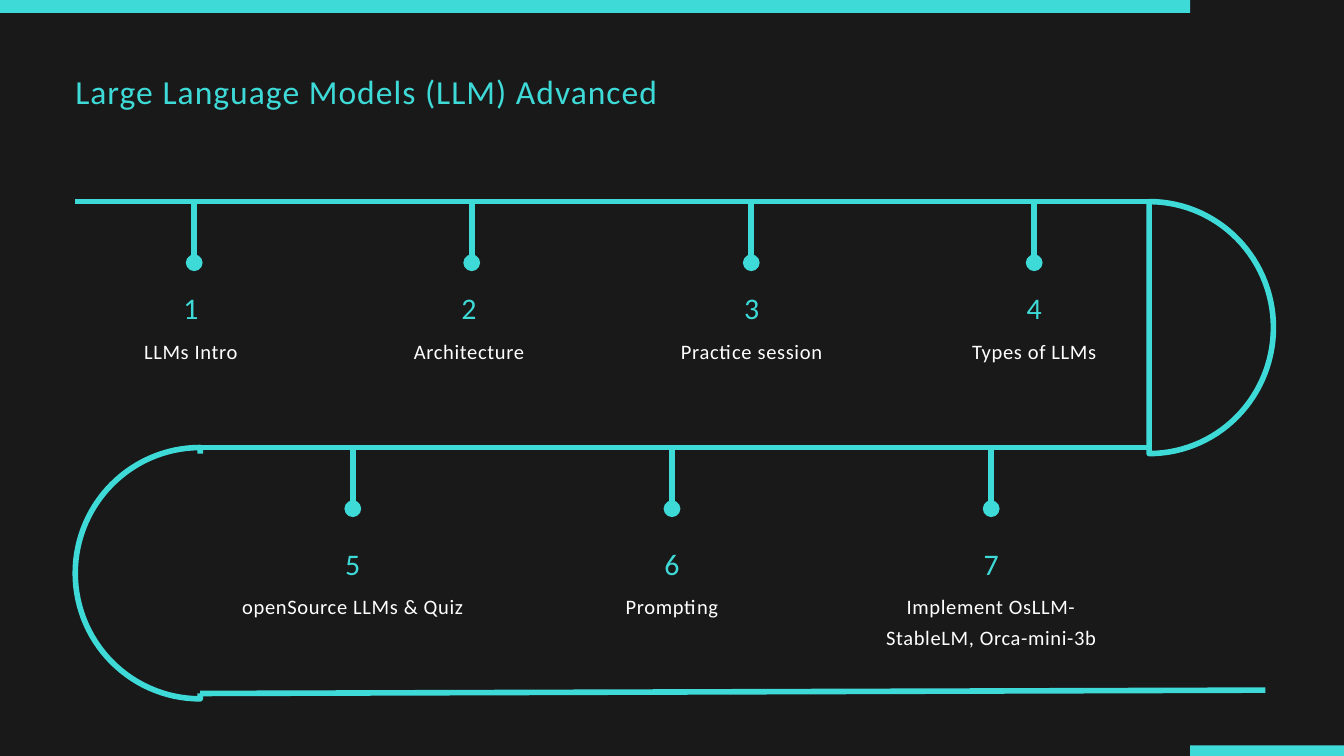
"""Build a winding seven-step course roadmap slide."""
import math
from dataclasses import dataclass

import lxml.etree
import pptx
import pptx.dml.color
import pptx.enum.shapes
import pptx.enum.text
import pptx.oxml.ns
import pptx.util

PX = 9144
ALIGN = pptx.enum.text.PP_ALIGN


@dataclass(frozen=True)
class TextStyle:
    """Size, line height and letter spacing in points, with colour."""
    size: int
    leading: float
    spacing: float
    color: str


@dataclass(frozen=True)
class Theme:
    """Colours, font and type styles of the slide."""
    dark: str = "191919"
    accent: str = "3EDAD8"
    font: str = "Calibri"
    stroke: int = 6
    title: TextStyle = TextStyle(36, 46.8, 1.1, "3EDAD8")
    number: TextStyle = TextStyle(32, 41.6, 1.6, "3EDAD8")
    label: TextStyle = TextStyle(22, 33, 0.7, "FFFFFF")


class SlideBuilder:
    """Draws styled elements on the current slide."""

    def __init__(self, prs, theme):
        """Add a title-only slide with the theme background."""
        self.theme = theme
        self.slide = prs.slides.add_slide(prs.slide_layouts[5])
        self.shapes = self.slide.shapes
        self.paint(self.slide.background.fill, theme.dark)

    def paint(self, fill, color):
        """Set a solid fill."""
        fill.solid()
        fill.fore_color.rgb = pptx.dml.color.RGBColor.from_string(color)

    def stroke(self, line):
        """Apply the road stroke."""
        self.paint(line.fill, self.theme.accent)
        line.width = pptx.util.Pt(self.theme.stroke)

    def set_text(self, sp, text, style, align):
        """Fill a text shape with one styled run."""
        tf = sp.text_frame
        tf.word_wrap = True
        tf.auto_size = pptx.enum.text.MSO_AUTO_SIZE.NONE
        tf.vertical_anchor = pptx.enum.text.MSO_ANCHOR.TOP
        tf.margin_left = tf.margin_right = tf.margin_top = tf.margin_bottom = 0
        p = tf.paragraphs[0]
        p.alignment = align
        p.line_spacing = pptx.util.Pt(style.leading)
        p.space_before = pptx.util.Pt(0)
        r = p.add_run()
        r.text = text
        r.font.name = self.theme.font
        r.font.size = pptx.util.Pt(style.size)
        r.font.color.rgb = pptx.dml.color.RGBColor.from_string(style.color)
        r._r.get_or_add_rPr().set("spc", str(round(style.spacing * 100)))

    def title(self, text, x, y, w, h):
        """Place the title placeholder."""
        sp = self.shapes.title
        sp.left, sp.top, sp.width, sp.height = (v * PX for v in (x, y, w, h))
        self.set_text(sp, text, self.theme.title, ALIGN.LEFT)

    def text(self, text, x, y, w, h, style):
        """Add a centred text box."""
        sp = self.shapes.add_textbox(*(v * PX for v in (x, y, w, h)))
        self.set_text(sp, text, style, ALIGN.CENTER)

    def bar(self, x, y, w, h, color):
        """Add a plain filled rectangle."""
        sp = self.shapes.add_shape(
            pptx.enum.shapes.MSO_SHAPE.RECTANGLE, *(v * PX for v in (x, y, w, h)))
        sp.shadow.inherit = False
        self.paint(sp.fill, color)
        sp.line.fill.background()

    def line(self, x1, y1, x2, y2, dot=False):
        """Add a road line, with an optional round end."""
        sp = self.shapes.add_connector(
            pptx.enum.shapes.MSO_CONNECTOR.STRAIGHT, *(v * PX for v in (x1, y1, x2, y2)))
        self.stroke(sp.line)
        spPr = sp._element.spPr
        if dot:
            ln = spPr.find(pptx.oxml.ns.qn("a:ln"))
            lxml.etree.SubElement(ln, pptx.oxml.ns.qn("a:tailEnd"), type="oval")
        lxml.etree.SubElement(spPr, pptx.oxml.ns.qn("a:effectLst"))

    def bend(self, x, top, bottom, reach):
        """Add a half-ellipse outline bulging sideways by reach."""
        mid, ry, steps = (top + bottom) / 2, (bottom - top) / 2, 60
        pts = [(round((x + reach * math.sin(math.pi * i / steps)) * PX),
                round((mid - ry * math.cos(math.pi * i / steps)) * PX))
               for i in range(steps + 1)]
        builder = self.shapes.build_freeform(*pts[0])
        builder.add_line_segments(pts[1:], close=True)
        sp = builder.convert_to_shape()
        sp.shadow.inherit = False
        sp.fill.background()
        self.stroke(sp.line)

    def step(self, number, label, stem, center, road, gap, w, h):
        """Add a stem with its number and label under the road."""
        self.line(stem, road, stem, road + 91, dot=True)
        left, top = center - w // 2, road + gap
        self.text(str(number), left, top, w, 55, self.theme.number)
        self.text(label, left, top + 68, w, h, self.theme.label)


def main():
    """Build and save the roadmap."""
    prs = pptx.Presentation()
    prs.slide_width, prs.slide_height = 2000 * PX, 1125 * PX
    theme = Theme()
    s = SlideBuilder(prs, theme)
    s.title("Large Language Models (LLM) Advanced", 112, 100, 1339, 63)

    upper, lower = 300, 666
    s.bend(1710, upper, 675, 185)
    s.bar(1414, 309, 290, 358, theme.dark)
    s.line(112, upper, 1711, upper)
    s.bend(298, lower, 1040, -186)
    s.bar(289, 675, 125, 357, theme.dark)
    s.line(298, 1032, 1883, 1027)
    s.bar(1771, 1109, 250, 18, theme.accent)
    s.bar(0, 0, 1771, 19, theme.accent)
    s.line(298, lower, 1711, lower)

    steps = [
        ("LLMs Intro", 289, 284, upper, 127, 344, 40),
        ("Architecture", 702, 698, upper, 127, 344, 40),
        ("Practice session", 1118, 1118, upper, 127, 359, 40),
        ("Types of LLMs", 1539, 1539, upper, 127, 344, 40),
        ("openSource LLMs & Quiz", 525, 525, lower, 141, 344, 85),
        ("Prompting", 1000, 1000, lower, 141, 344, 40),
        ("Implement OsLLM- StableLM, Orca-mini-3b", 1475, 1475, lower, 141, 344, 85),
    ]
    for number, step in enumerate(steps, 1):
        s.step(number, *step)
    prs.save("out.pptx")


if __name__ == "__main__":
    main()
